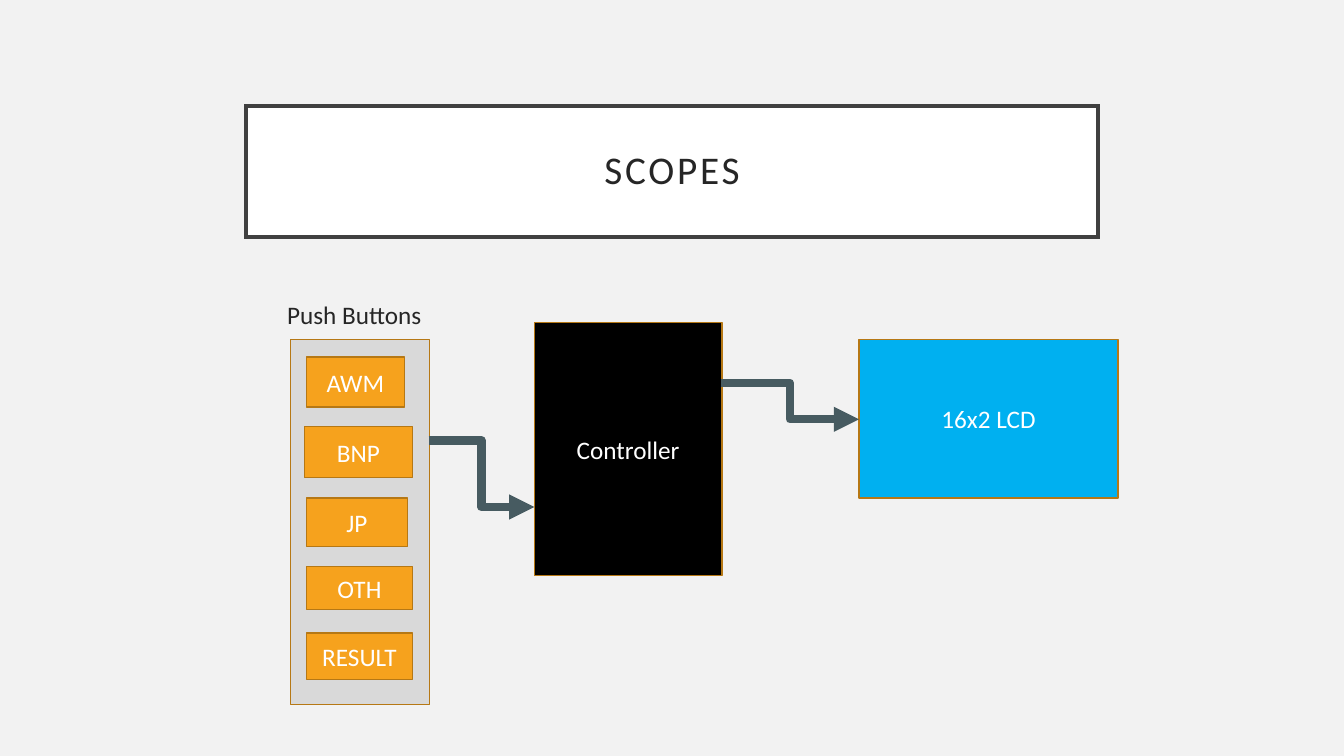
from dataclasses import dataclass
from typing import Any

import lxml.etree
import pptx
import pptx.dml.color
import pptx.enum.shapes
import pptx.enum.text
import pptx.oxml.ns
import pptx.util

Inches = pptx.util.Inches
Pt = pptx.util.Pt
qn = pptx.oxml.ns.qn

COLORS = {
    "background": "F2F2F2",
    "white": "FFFFFF",
    "title_border": "404040",
    "dark_text": "262626",
    "border": "B67815",
    "controller": "000000",
    "panel": "D9D9D9",
    "button": "F6A21D",
    "lcd": "00B0F0",
    "arrow": "475B61",
}
CENTERED = {
    "word_wrap": True,
    "auto_size": pptx.enum.text.MSO_AUTO_SIZE.NONE,
    "vertical_anchor": pptx.enum.text.MSO_ANCHOR.MIDDLE,
}
TITLE_INSETS = {
    f"margin_{side}": Inches(0.2) for side in ("left", "top", "right", "bottom")
}


@dataclass(frozen=True)
class Block:
    left: float
    top: float
    width: float
    height: float
    fill: str
    text: str = ""


@dataclass(frozen=True)
class Signal:
    start_x: float
    start_y: float
    end_x: float
    end_y: float


BLOCKS = (
    Block(5.3, 3.2, 1.86, 2.51, "controller", "Controller"),
    Block(2.88, 3.37, 1.38, 3.62, "panel"),
    Block(3.04, 3.54, 0.97, 0.5, "button", "AWM"),
    Block(3.02, 4.23, 1.07, 0.51, "button", "BNP"),
    Block(3.04, 4.94, 1, 0.48, "button", "JP"),
    Block(3.04, 5.62, 1.05, 0.43, "button", "OTH"),
    Block(3.04, 6.28, 1.05, 0.46, "button", "RESULT"),
    Block(8.52, 3.37, 2.57, 1.57, "lcd", "16x2 LCD"),
)
SIGNALS = (Signal(4.25, 4.37, 5.3, 5.03), Signal(7.15, 3.8, 8.52, 4.16))


def rgb(name: str) -> pptx.dml.color.RGBColor:
    return pptx.dml.color.RGBColor.from_string(COLORS[name])


def apply(target: Any, values: dict[str, Any]) -> None:
    for attribute, value in values.items():
        setattr(target, attribute, value)


def paint(shape: Any, fill: str, border: str, border_width: float) -> None:
    shape.fill.solid()
    shape.fill.fore_color.rgb = rgb(fill)
    shape.line.color.rgb = rgb(border)
    shape.line.width = Pt(border_width)


def write(frame: Any, text: str, size: float, color: str, align: Any) -> Any:
    paragraph = frame.paragraphs[0]
    paragraph.alignment = align
    run = paragraph.add_run()
    run.text = text
    apply(run.font, {"name": "Calibri", "size": Pt(size), "bold": False})
    run.font.color.rgb = rgb(color)
    return run


def add_title(slide: Any) -> None:
    title = slide.shapes.title
    position = {"left": 2.44, "top": 1.05, "width": 8.45, "height": 1.3}
    apply(title, {side: Inches(length) for side, length in position.items()})
    paint(title, "white", "title_border", 2.5)
    lxml.etree.SubElement(title.line._ln, qn("a:miter"), lim="800000")
    apply(title.text_frame, CENTERED | TITLE_INSETS)
    heading = write(title.text_frame, "SCOPES", 28, "dark_text",
                    pptx.enum.text.PP_ALIGN.CENTER)
    title.text_frame.paragraphs[0].line_spacing = 0.9
    heading.font._element.set("spc", "200")


def add_buttons_label(slide: Any) -> None:
    label = slide.shapes.add_textbox(
        Inches(2.75), Inches(2.92), Inches(1.8), Inches(0.4))
    label.text_frame.word_wrap = True
    write(label.text_frame, "Push Buttons", 18, "dark_text",
          pptx.enum.text.PP_ALIGN.LEFT)


def add_block(slide: Any, block: Block) -> None:
    shape = slide.shapes.add_shape(
        pptx.enum.shapes.MSO_SHAPE.RECTANGLE, Inches(block.left),
        Inches(block.top), Inches(block.width), Inches(block.height))
    shape.shadow.inherit = False
    paint(shape, block.fill, "border", 1)
    if block.text:
        apply(shape.text_frame, CENTERED)
        write(shape.text_frame, block.text, 18, "white",
              pptx.enum.text.PP_ALIGN.CENTER)


def add_signal(slide: Any, signal: Signal) -> None:
    arrow = slide.shapes.add_connector(
        pptx.enum.shapes.MSO_CONNECTOR.ELBOW, Inches(signal.start_x),
        Inches(signal.start_y), Inches(signal.end_x), Inches(signal.end_y))
    arrow.line.color.rgb = rgb("arrow")
    arrow.line.width = Pt(6)
    properties = arrow._element.spPr
    outline = properties.find(qn("a:ln"))
    lxml.etree.SubElement(outline, qn("a:tailEnd"), type="triangle")
    lxml.etree.SubElement(properties, qn("a:effectLst"))


def main() -> None:
    presentation = pptx.Presentation()
    apply(presentation,
          {"slide_width": Inches(13.33), "slide_height": Inches(7.5)})
    slide = presentation.slides.add_slide(presentation.slide_layouts[5])
    slide.background.fill.solid()
    slide.background.fill.fore_color.rgb = rgb("background")
    add_title(slide)
    add_buttons_label(slide)
    for block in BLOCKS:
        add_block(slide, block)
    for signal in SIGNALS:
        add_signal(slide, signal)
    presentation.save("out.pptx")


if __name__ == "__main__":
    main()
